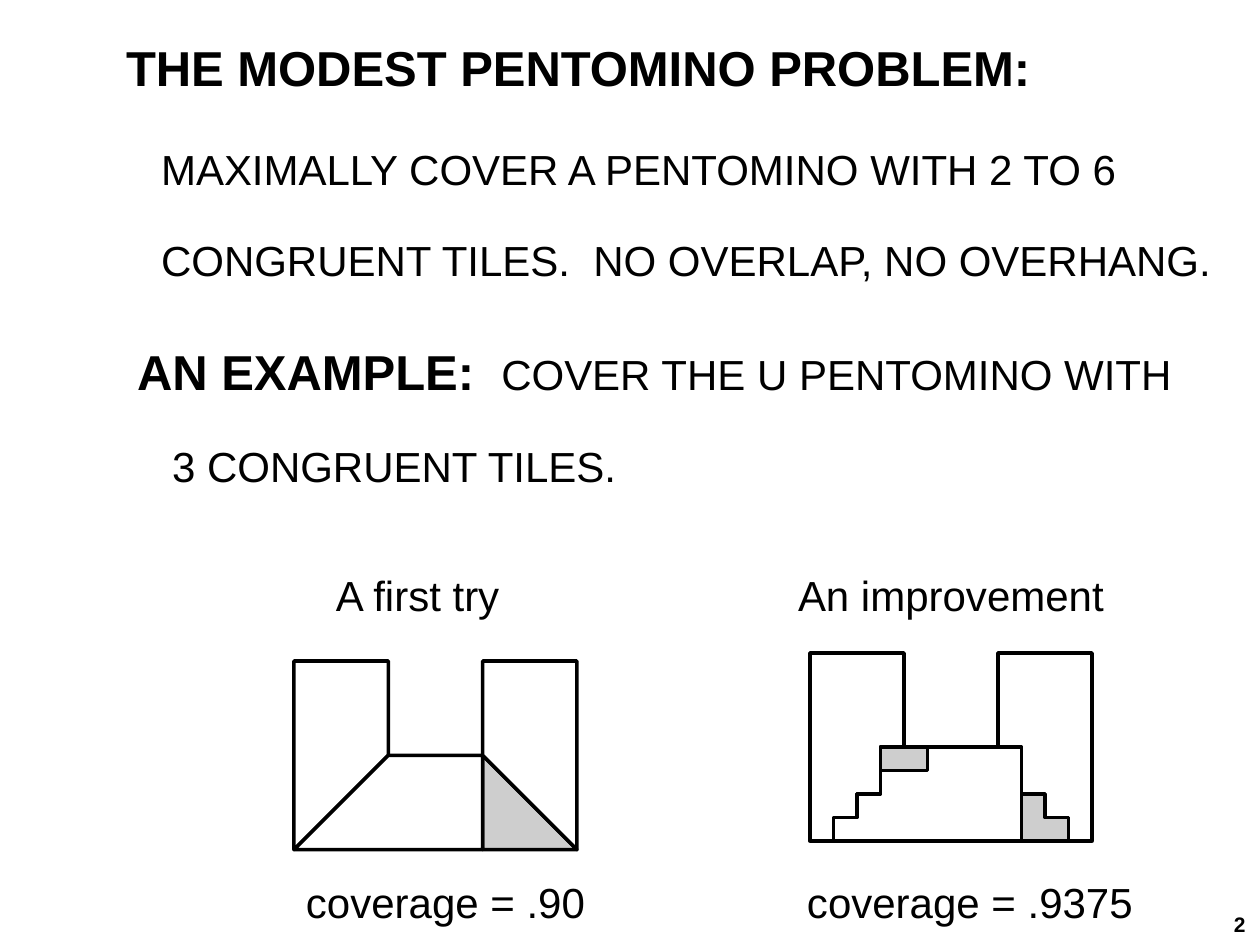
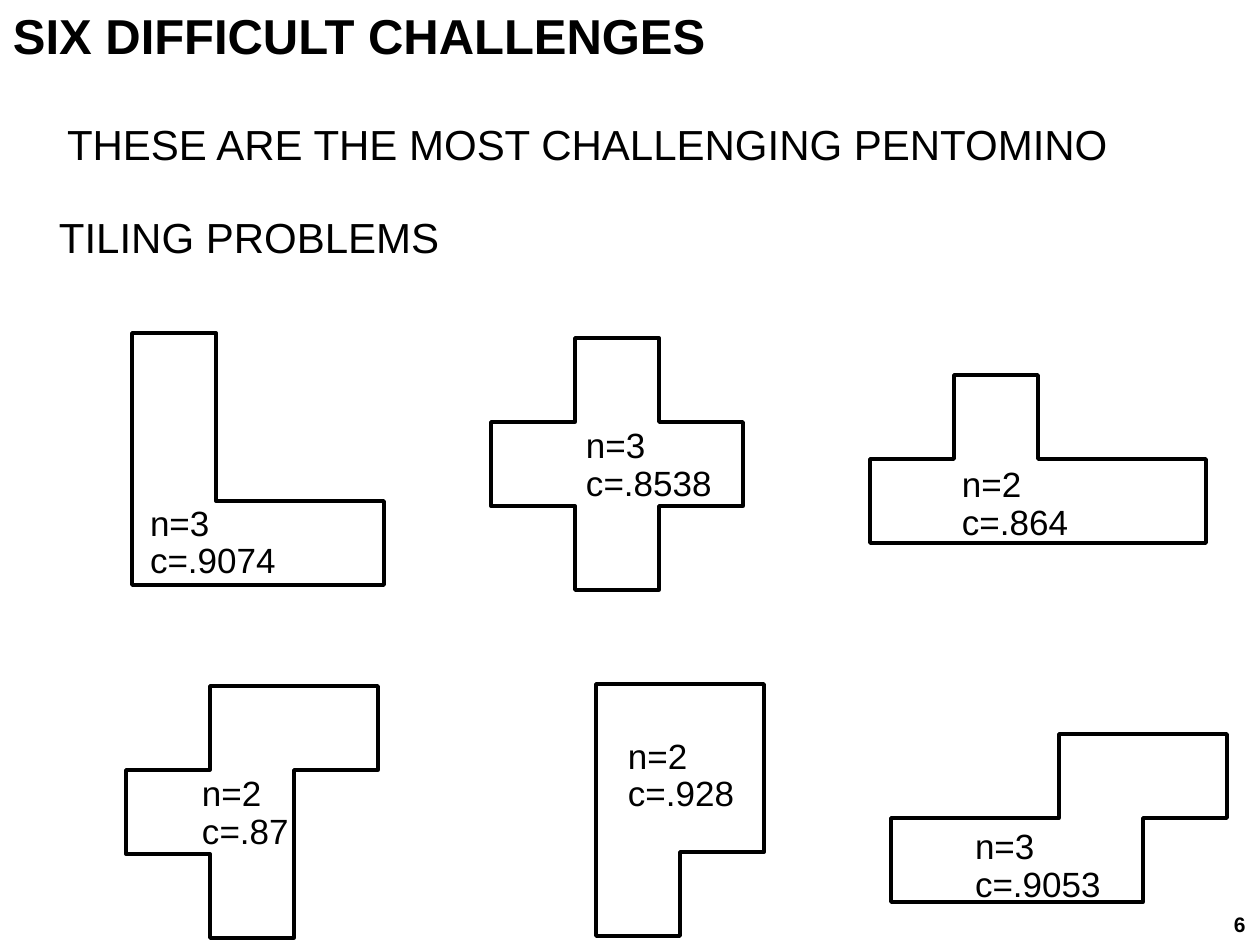
from pptx import Presentation
from pptx.dml.color import RGBColor
from pptx.enum.text import MSO_ANCHOR, MSO_AUTO_SIZE
from pptx.util import Emu, Pt

PX = 914400 / 126
BLACK = RGBColor(0x00, 0x00, 0x00)
WHITE = RGBColor(0xFF, 0xFF, 0xFF)
GAP_GRAY = RGBColor(0xCE, 0xCE, 0xCE)
TOP = MSO_ANCHOR.TOP
GROW = MSO_AUTO_SIZE.SHAPE_TO_FIT_TEXT

HEADING = {"size": Pt(28), "bold": True}
BODY = {"size": Pt(24), "bold": False}
LABEL = {"size": Pt(20), "bold": False}
NUMBER = {"size": Pt(12), "bold": True}

FIRST_TRY = [
    ([(4, 4), (0, 8), (0, 0), (4, 0)], WHITE),
    ([(8, 4), (12, 8), (8, 8)], GAP_GRAY),
    ([(4, 4), (8, 4), (8, 8), (0, 8)], WHITE),
    ([(8, 4), (8, 0), (12, 0), (12, 8)], WHITE),
]
IMPROVEMENT = [
    ([(0, 8), (1, 8), (1, 7), (2, 7), (2, 6), (3, 6), (3, 4), (4, 4),
      (4, 0), (0, 0)], WHITE),
    ([(12, 8), (11, 8), (11, 7), (10, 7), (10, 6), (9, 6), (9, 5), (8, 5),
      (8, 0), (12, 0)], WHITE),
    ([(9, 8), (9, 6), (10, 6), (10, 7), (11, 7), (11, 8)], GAP_GRAY),
    ([(1, 8), (1, 7), (2, 7), (2, 6), (3, 6), (3, 5), (4, 5), (4, 4),
      (9, 4), (9, 8)], WHITE),
    ([(3, 4), (5, 4), (5, 5), (3, 5)], GAP_GRAY),
]

PENTOMINO_CELL = 84
CHALLENGES = [
    ((126, 686), [(0, 1), (0, 2), (1, 2), (1, 3), (2, 3), (2, 1), (3, 1),
                  (3, 0), (1, 0), (1, 1)], (51, 77, 145), "n=2", "c=.87"),
    ((596, 684), [(0, 0), (2, 0), (2, 2), (1, 2), (1, 3), (0, 3)],
     (7, 42, 165), "n=2", "c=.928"),
    ((870, 375), [(4, 1), (4, 2), (0, 2), (0, 1), (1, 1), (1, 0), (2, 0),
                  (2, 1)], (67, 79, 165), "n=2", "c=.864"),
    ((891, 734), [(0, 1), (2, 1), (2, 0), (4, 0), (4, 1), (3, 1), (3, 2),
                  (0, 2)], (59, 82, 185), "n=3", "c=.9053"),
    ((132, 333), [(0, 0), (0, 3), (3, 3), (3, 2), (1, 2), (1, 0)],
     (-7, 160, 197), "n=3", "c=.9074"),
    ((491, 338), [(1, 0), (1, 1), (0, 1), (0, 2), (1, 2), (1, 3), (2, 3),
                  (2, 2), (3, 2), (3, 1), (2, 1), (2, 0)],
     (70, 77, 185), "n=3", "c=.8538"),
]


def px(length):
    return Emu(round(length * PX))


def add_text(page, area, lines, inset=(13, 6)):
    """Each line is (indent in px, space before in points, [(text, format)])."""
    box = page.shapes.add_textbox(*map(px, area))
    frame = box.text_frame
    side, end = map(px, inset)
    settings = {"word_wrap": False, "auto_size": GROW, "vertical_anchor": TOP,
                "margin_left": side, "margin_right": side,
                "margin_top": end, "margin_bottom": end}
    for name, value in settings.items():
        setattr(frame, name, value)
    for index, (indent, before, spans) in enumerate(lines):
        para = frame.add_paragraph() if index else frame.paragraphs[0]
        para.line_spacing = 0.9
        para.space_before = Pt(before)
        if indent:
            para._p.get_or_add_pPr().set("marL", str(px(indent)))
        for text, style in spans:
            span = para.add_run()
            span.text = text
            span.font.color.rgb = BLACK
            for name, value in {"name": "Arial", **style}.items():
                setattr(span.font, name, value)


def add_tile(page, origin, cell, corners, fill):
    left, top = origin
    points = [(px(left + column * cell), px(top + row * cell))
              for column, row in corners]
    builder = page.shapes.build_freeform(*points[0])
    builder.add_line_segments(points[1:], close=True)
    tile = builder.convert_to_shape()
    tile.shadow.inherit = False
    tile.fill.solid()
    tile.fill.fore_color.rgb = fill
    tile.line.color.rgb = BLACK
    tile.line.width = Pt(2)


def add_page(deck, number):
    page = deck.slides.add_slide(deck.slide_layouts[6])
    add_text(page, (1221, 908, 37, 35), [(0, 0, [(number, NUMBER)])])
    return page


def add_covering(page, area, tiles, caption, caption_area, coverage, coverage_area):
    left, top, width = area
    for corners, fill in tiles:
        add_tile(page, (left, top), width / 12, corners, fill)
    for text, (x, y, w, h), inset in (
            (caption, caption_area, (13, 6)),
            (coverage, coverage_area, (25, 13))):
        add_text(page, (left + x, top + y, w, h), [(0, 0, [(text, BODY)])], inset)


def add_challenge(page, origin, corners, label_area, count, coverage):
    add_tile(page, origin, PENTOMINO_CELL, corners, WHITE)
    x, y, width = label_area
    add_text(page, (origin[0] + x, origin[1] + y, width, 101),
             [(0, 0, [(text, LABEL)]) for text in (count, coverage)], (25, 13))


def build_problem_page(deck):
    page = add_page(deck, "2")
    add_text(page, (113, 38, 1130, 255), [
        (0, 0, [("THE MODEST PENTOMINO PROBLEM:", HEADING)]),
        (35, 30, [("MAXIMALLY COVER A PENTOMINO WITH 2 TO 6", BODY)]),
        (35, 26, [("CONGRUENT TILES.  NO OVERLAP, NO OVERHANG.", BODY)]),
    ])
    add_text(page, (124, 342, 1080, 156), [
        (0, 0, [("AN EXAMPLE:  ", HEADING), ("COVER THE U PENTOMINO WITH", BODY)]),
        (35, 26, [("3 CONGRUENT TILES.", BODY)]),
    ])
    add_covering(page, (294, 661, 283), FIRST_TRY,
                 "A first try", (29, -92, 210, 58),
                 "coverage = .90", (-13, 208, 350, 71))
    add_covering(page, (810, 653, 282), IMPROVEMENT,
                 "An improvement", (-25, -84, 360, 58),
                 "coverage = .9375", (-28, 216, 400, 72))


def build_challenges_page(deck):
    page = add_page(deck, "6")
    add_text(page, (0, 6, 1125, 262), [
        (0, 0, [("SIX DIFFICULT CHALLENGES", HEADING)]),
        (54, 34, [("THESE ARE THE MOST CHALLENGING PENTOMINO", BODY)]),
        (46, 27, [("TILING PROBLEMS", BODY)]),
    ])
    for challenge in CHALLENGES:
        add_challenge(page, *challenge)


def main():
    deck = Presentation()
    deck.slide_width, deck.slide_height = px(1260), px(945)
    build_problem_page(deck)
    build_challenges_page(deck)
    deck.save("out.pptx")


if __name__ == "__main__":
    main()
